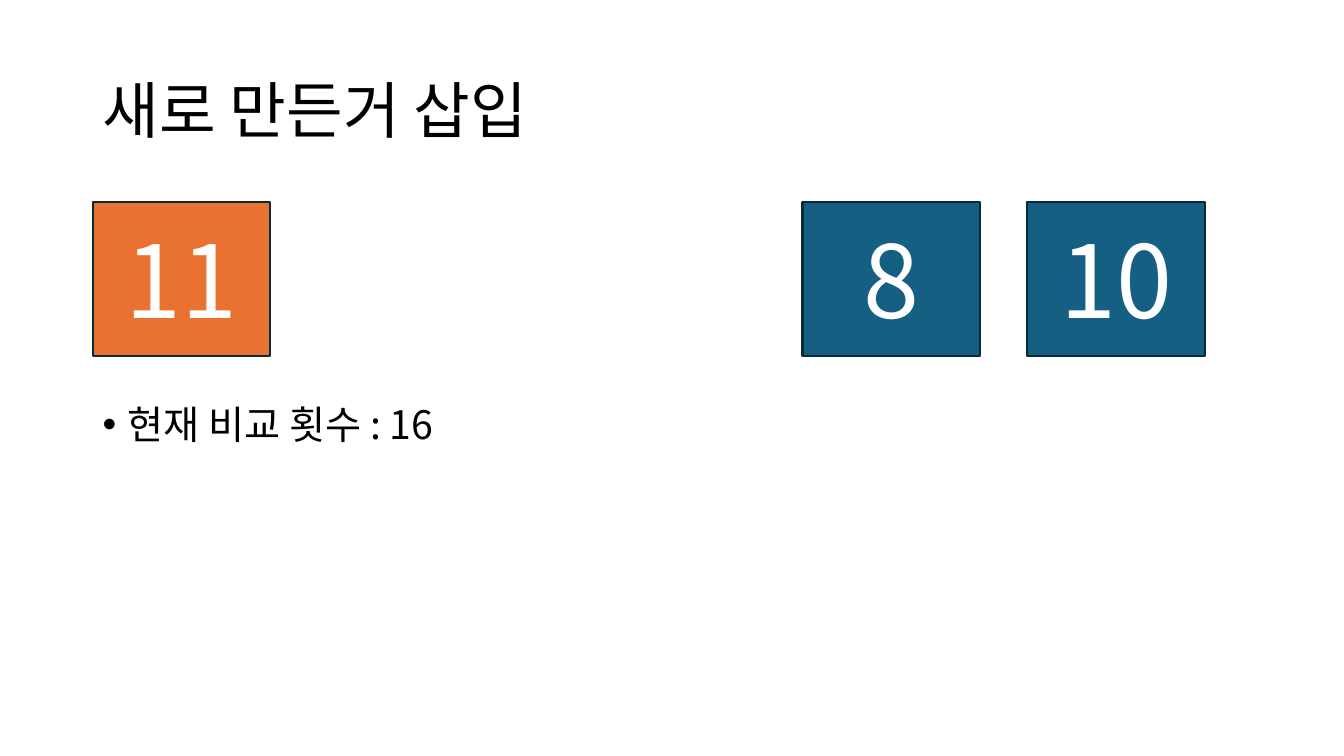
"""Build the slide that shows a new value being inserted."""
from lxml import etree
from pptx import Presentation
from pptx.dml.color import RGBColor
from pptx.enum.shapes import MSO_SHAPE
from pptx.enum.text import MSO_ANCHOR, PP_ALIGN
from pptx.oxml.ns import qn
from pptx.util import Inches, Pt

RECT = MSO_SHAPE.RECTANGLE
MIDDLE = MSO_ANCHOR.MIDDLE
TOP = MSO_ANCHOR.TOP
CENTER = PP_ALIGN.CENTER

COLORS = {
    "text": "000000",
    "light": "FFFFFF",
    "new": "E97132",
    "old": "156082",
    "edge": "092A39",
}


class Board:
    """Hold the style and the current slide."""

    font = "Noto Sans CJK KR"

    def __init__(self, slide):
        """Keep the slide to draw on."""
        self.slide = slide

    def color(self, name):
        """Return a named colour."""
        return RGBColor.from_string(COLORS[name])

    def add_run(self, para, text, size, color):
        """Add one styled run to a paragraph."""
        run = para.add_run()
        run.text = text
        run.font.size = Pt(size)
        run.font.name = self.font
        run.font.color.rgb = self.color(color)
        east = etree.SubElement(run._r.get_or_add_rPr(), qn("a:ea"))
        east.set("typeface", self.font)

    def text(self, text, top, height, size, anchor, bullet=False):
        """Add a full-width text box, with a bullet if asked."""
        box = self.slide.shapes.add_textbox(
            Inches(0.92), Inches(top), Inches(11.5), Inches(height))
        frame = box.text_frame
        frame.word_wrap = True
        frame.vertical_anchor = anchor
        para = frame.paragraphs[0]
        para.line_spacing = 0.9
        if bullet:
            props = para._p.get_or_add_pPr()
            props.set("marL", str(Inches(0.25)))
            props.set("indent", str(Inches(-0.25)))
            face = etree.SubElement(props, qn("a:buFont"))
            face.set("typeface", "Arial")
            mark = etree.SubElement(props, qn("a:buChar"))
            mark.set("char", "•")
        self.add_run(para, text, size, "text")

    def card(self, text, left, fill):
        """Add one number card."""
        card = self.slide.shapes.add_shape(
            RECT, Inches(left), Inches(2), Inches(1.76), Inches(1.53))
        card.shadow.inherit = False
        card.fill.solid()
        card.fill.fore_color.rgb = self.color(fill)
        card.line.color.rgb = self.color("edge")
        card.line.width = Pt(1.5)
        frame = card.text_frame
        frame.vertical_anchor = MIDDLE
        para = frame.paragraphs[0]
        para.alignment = CENTER
        self.add_run(para, text, 72, "light")


def main():
    """Build and save the slide."""
    deck = Presentation()
    deck.slide_width = Inches(13.33)
    deck.slide_height = Inches(7.5)
    board = Board(deck.slides.add_slide(deck.slide_layouts[6]))
    board.text("새로 만든거 삽입", 0.4, 1.45, 44, MIDDLE)
    board.text("현재 비교 횟수 : 16", 3.97, 2.78, 28, TOP, bullet=True)
    for text, left, fill in (
            ("11", 0.92, "new"), ("8", 7.96, "old"), ("10", 10.19, "old")):
        board.card(text, left, fill)
    deck.save("out.pptx")


if __name__ == "__main__":
    main()
